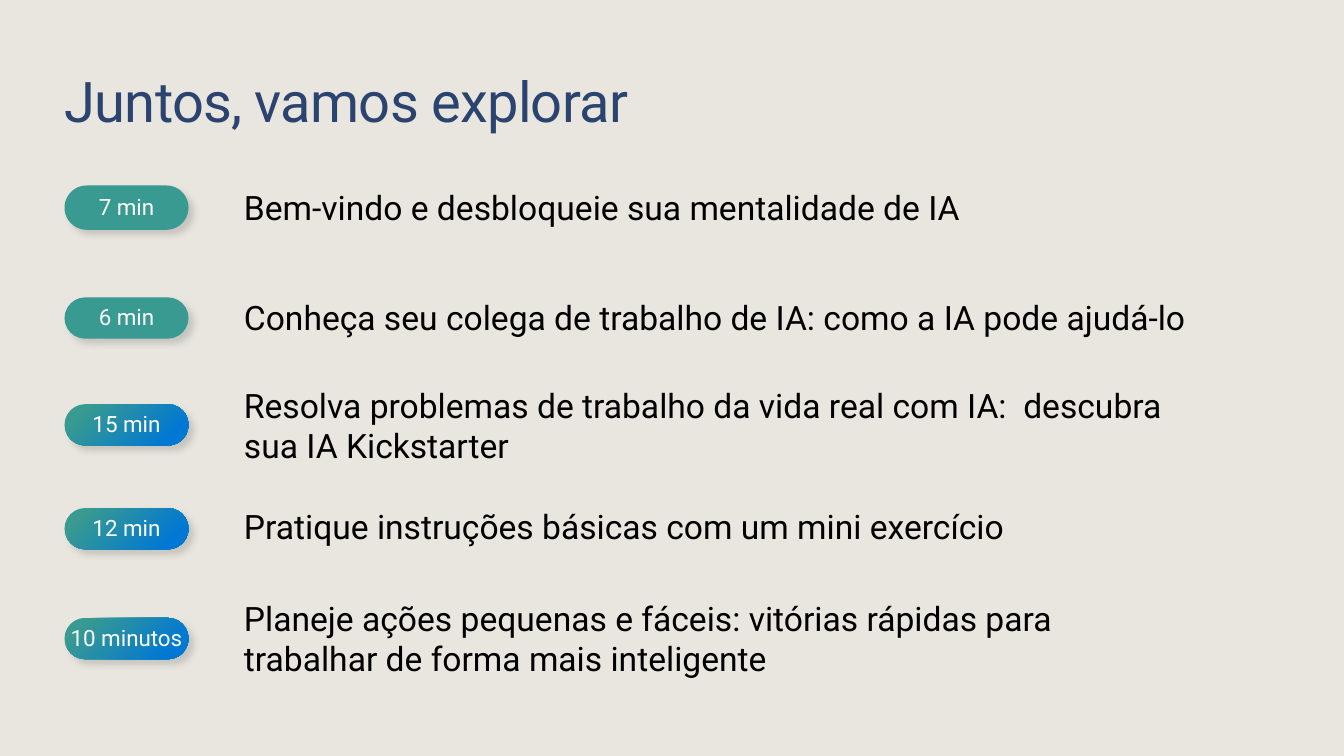
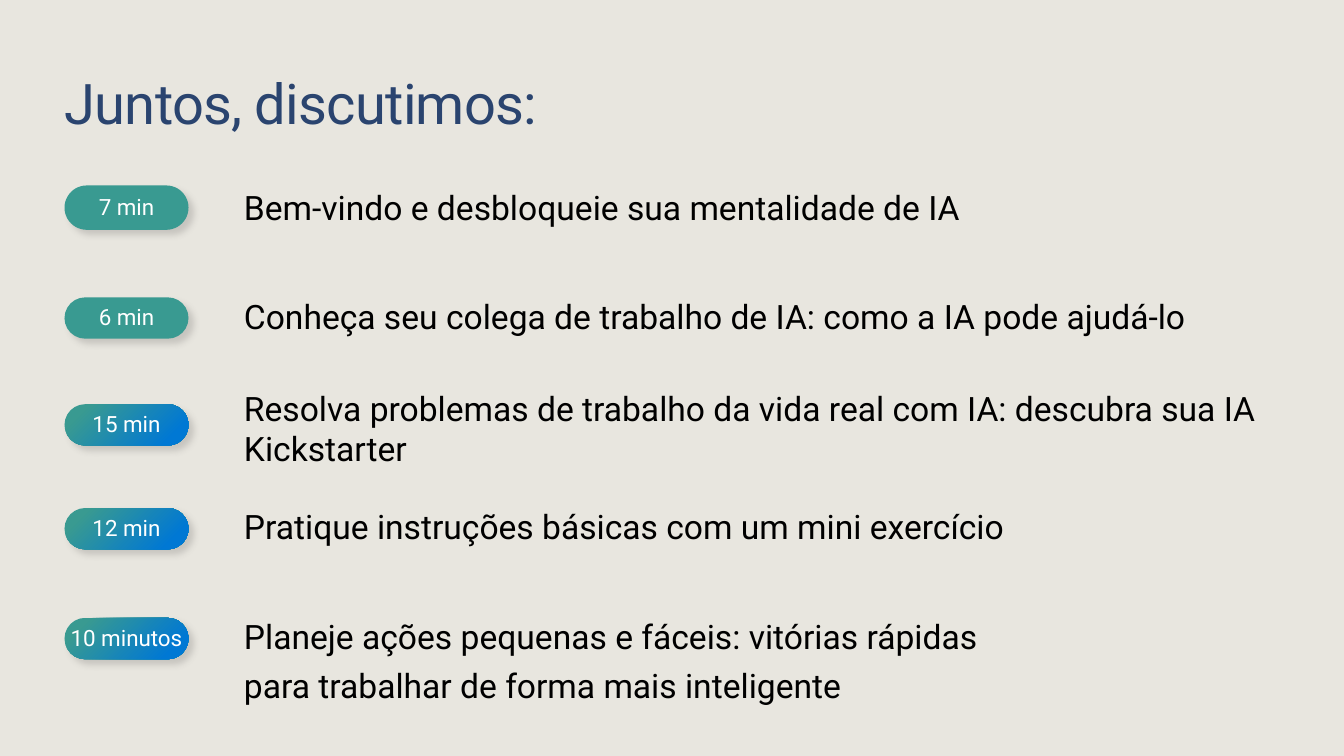
from dataclasses import dataclass

from pptx import Presentation
from pptx.dml.color import RGBColor
from pptx.enum.shapes import MSO_SHAPE
from pptx.enum.text import MSO_ANCHOR, MSO_AUTO_SIZE, PP_ALIGN
from pptx.oxml import parse_xml
from pptx.oxml.ns import nsdecls
from pptx.slide import Slide
from pptx.text.text import TextFrame
from pptx.util import Inches, Pt

FONT = "Roboto"
SAND, NAVY, TEAL, BLUE = "E8E6DF", "2A446F", "399A91", "0078D4"
WHITE, BLACK, SHADOW = "FFFFFF", "000000", "454142"
LEFT, TOPIC_LEFT = 0.64, 2.42
LINE_HEIGHT = 0.4


@dataclass(frozen=True)
class Pill:
    label: str
    top: float
    height: float = 0.41
    gradient: bool = True


@dataclass(frozen=True)
class Topic:
    top: float
    paragraphs: tuple[str, ...]


@dataclass(frozen=True)
class Agenda:
    title: str
    title_top: float
    topics: tuple[Topic, ...]


PILLS = (
    Pill("7 min", 1.84, 0.44, False),
    Pill("6 min", 2.95, gradient=False),
    Pill("15 min", 4.01),
    Pill("12 min", 5.04),
    Pill("10 minutos", 6.13),
)
WELCOME = Topic(1.85, ("Bem-vindo e desbloqueie sua mentalidade de IA",))
COLLEAGUE = ("Conheça seu colega de trabalho de IA: como a IA pode ajudá-lo",)
PRACTICE = Topic(5.02, ("Pratique instruções básicas com um mini exercício",))

AGENDAS = (
    Agenda("Juntos, vamos explorar", 0.73, (
        WELCOME,
        Topic(2.95, COLLEAGUE),
        Topic(3.82, ("Resolva problemas de trabalho da vida real com IA:  descubra\n"
                     "sua IA Kickstarter",)),
        PRACTICE,
        Topic(5.93, ("Planeje ações pequenas e fáceis: vitórias rápidas para\n"
                     "trabalhar de forma mais inteligente",)),
    )),
    Agenda("Juntos, discutimos:", 0.75, (
        WELCOME,
        Topic(2.94, COLLEAGUE),
        Topic(3.85, ("Resolva problemas de trabalho da vida real com IA: "
                     "descubra sua IA Kickstarter",)),
        PRACTICE,
        Topic(6.11, ("Planeje ações pequenas e fáceis: vitórias rápidas",
                     "para trabalhar de forma mais inteligente")),
    )),
)


def rgb(color: str) -> RGBColor:
    return RGBColor.from_string(color)


def write(tf: TextFrame, paragraphs: tuple[str, ...], size: int, color: str,
          align: PP_ALIGN = PP_ALIGN.LEFT, bottom: float = 0) -> None:
    tf.word_wrap = True
    tf.margin_left = tf.margin_right = tf.margin_top = 0
    tf.margin_bottom = Inches(bottom)
    for i, text in enumerate(paragraphs):
        p = tf.add_paragraph() if i else tf.paragraphs[0]
        p.text = text
        p.alignment = align
        p.font.name = FONT
        p.font.size = Pt(size)
        p.font.color.rgb = rgb(color)
        if len(paragraphs) > 1:
            p.space_after = Pt(6)


def add_title(s: Slide, text: str, top: float) -> None:
    title = s.shapes.title
    title.left, title.top = Inches(LEFT), Inches(top)
    title.width, title.height = Inches(12.05), Inches(0.61)
    tf = title.text_frame
    write(tf, (text,), 40, NAVY)
    tf.auto_size = MSO_AUTO_SIZE.NONE
    tf.vertical_anchor = MSO_ANCHOR.BOTTOM
    p = tf.paragraphs[0]
    p.line_spacing = 0.9
    p.runs[0].font._element.set("spc", "-50")


def add_pill(s: Slide, pill: Pill) -> None:
    sp = s.shapes.add_shape(MSO_SHAPE.ROUNDED_RECTANGLE, Inches(LEFT), Inches(pill.top),
                            Inches(1.23), Inches(pill.height))
    sp.adjustments[0] = 0.5
    sp.line.fill.background()
    sp.shadow.inherit = False
    props = sp._element.spPr
    if pill.gradient:
        props.insert(2, parse_xml(
            f'<a:gradFill {nsdecls("a")} rotWithShape="1"><a:gsLst>'
            f'<a:gs pos="15000"><a:srgbClr val="{BLUE}"/></a:gs>'
            f'<a:gs pos="85000"><a:srgbClr val="{TEAL}"/></a:gs></a:gsLst>'
            '<a:path path="circle"><a:fillToRect l="100000" t="100000"/></a:path>'
            '</a:gradFill>'))
    else:
        sp.fill.solid()
        sp.fill.fore_color.rgb = rgb(TEAL)
    props.effectLst.append(parse_xml(
        f'<a:outerShdw {nsdecls("a")} blurRad="{Pt(5)}" dist="{Pt(5)}" dir="2700000" '
        f'algn="tl" rotWithShape="0"><a:srgbClr val="{SHADOW}">'
        '<a:alpha val="20000"/></a:srgbClr></a:outerShdw>'))
    write(sp.text_frame, (pill.label,), 16, WHITE, PP_ALIGN.CENTER, 0.02)
    sp.text_frame.vertical_anchor = MSO_ANCHOR.MIDDLE


def add_topic(s: Slide, topic: Topic) -> None:
    lines = sum(text.count("\n") + 1 for text in topic.paragraphs)
    box = s.shapes.add_textbox(Inches(TOPIC_LEFT), Inches(topic.top),
                               Inches(10.73), Inches(LINE_HEIGHT * lines))
    write(box.text_frame, topic.paragraphs, 24, BLACK)


def main() -> None:
    prs = Presentation()
    prs.slide_width, prs.slide_height = Inches(13.33), Inches(7.5)
    background = prs.slide_master.background.fill
    background.solid()
    background.fore_color.rgb = rgb(SAND)
    for agenda in AGENDAS:
        s = prs.slides.add_slide(prs.slide_layouts.get_by_name("Title Only"))
        add_title(s, agenda.title, agenda.title_top)
        for pill, topic in zip(PILLS, agenda.topics):
            add_pill(s, pill)
            add_topic(s, topic)
    prs.save("out.pptx")


if __name__ == "__main__":
    main()
